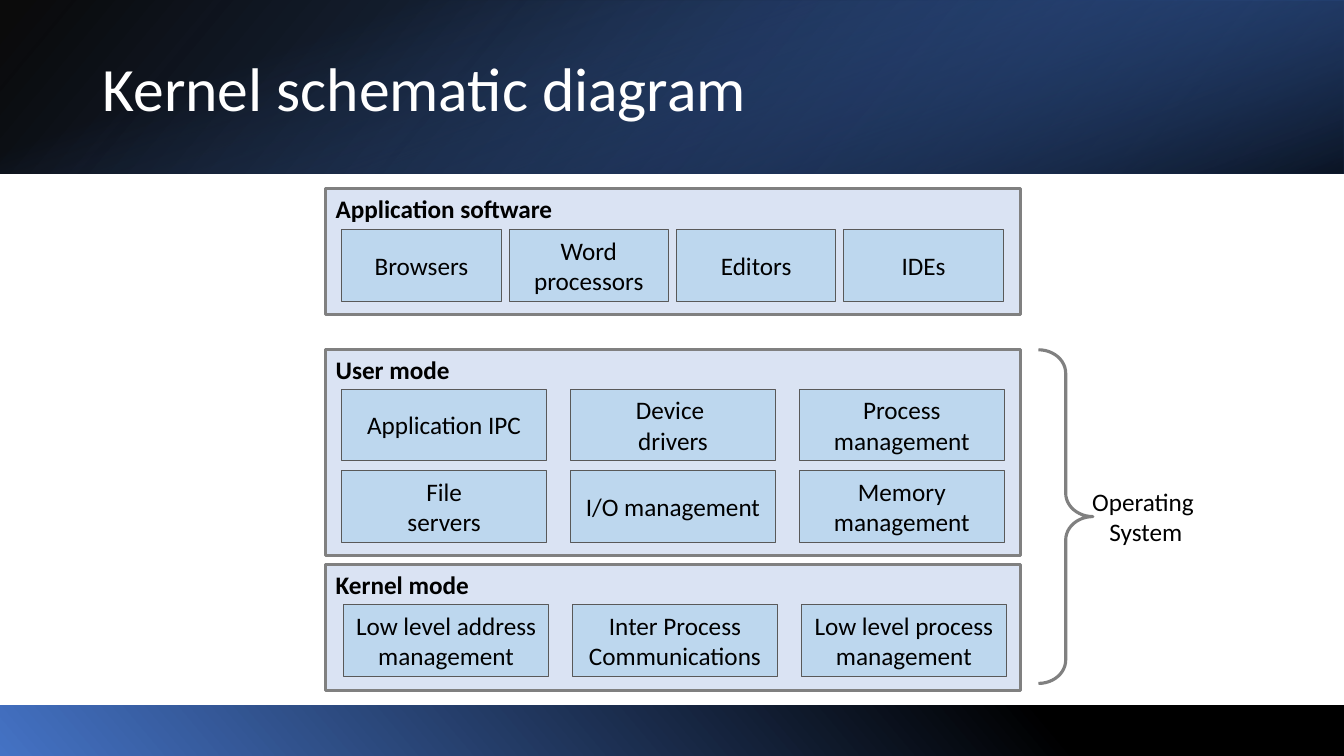
from dataclasses import dataclass

from lxml import etree
from pptx import Presentation
from pptx.dml.color import RGBColor
from pptx.enum.shapes import MSO_SHAPE
from pptx.enum.text import MSO_ANCHOR, PP_ALIGN
from pptx.oxml.ns import qn
from pptx.util import Inches, Pt

RECTANGLE = MSO_SHAPE.RECTANGLE
RIGHT_BRACE = MSO_SHAPE.RIGHT_BRACE
TOP, MIDDLE = MSO_ANCHOR.TOP, MSO_ANCHOR.MIDDLE
LEFT, CENTER = PP_ALIGN.LEFT, PP_ALIGN.CENTER

FONT = "Calibri"
PANEL_FILL, PANEL_LINE = "DAE3F3", "808080"
TILE_FILL, TILE_LINE = "BDD7EE", "595959"
PANEL_LEFT, PANEL_WIDTH = 3.23, 6.89
TILE_HEIGHT, ROW_PITCH = 0.71, 0.81


@dataclass
class Panel:
    title: str
    top: float
    height: float
    tiles_left: float
    tiles_top: float
    tile_width: float
    column_pitch: float
    rows: list[list[str]]


@dataclass
class Stop:
    position: int
    color: str
    opacity: int = 100


@dataclass
class Band:
    """A gradient bar; place is left, top, width, height before rotation."""
    place: tuple[float, float, float, float]
    angle: int
    stops: list[Stop]
    rotation: int = 0
    flipped: bool = False


PANELS = [
    Panel("User mode", 3.47, 2.04, 3.39, 3.86, 2.03, 2.27, [
        ["Application IPC", "Device \ndrivers", "Process management"],
        ["File\nservers", "I/O management", "Memory management"],
    ]),
    Panel("Kernel mode", 5.6, 1.25, 3.41, 6, 2.03, 2.27, [
        ["Low level address management", "Inter Process Communications",
         "Low level process management"],
    ]),
    Panel("Application software", 1.87, 1.25, 3.39, 2.28, 1.58, 1.66, [
        ["Browsers", "Word processors", "Editors", "IDEs"],
    ]),
]

BANDS = [
    Band((0, 7, 13.33, 0.5), 40, [Stop(0, "4472C4"), Stop(78, "000000")],
         rotation=180, flipped=True),
    Band((0, 0, 13.33, 1.72), 140, [Stop(0, "000000", 96), Stop(100, "2F5597")],
         flipped=True),
    Band((5.8, -5.8, 1.72, 13.33), 340,
         [Stop(23, "4472C4", 0), Stop(99, "000000", 74)], rotation=90),
]


def rgb(color: str) -> RGBColor:
    return RGBColor.from_string(color)


def add_outlined(page, kind, place: tuple, line: str, weight: float):
    shape = page.shapes.add_shape(kind, *map(Inches, place))
    shape.shadow.inherit = False
    shape.line.color.rgb = rgb(line)
    shape.line.width = Pt(weight)
    return shape


def write(box, text: str, size: int = 18, color: str = "000000", bold: bool = False,
          align=CENTER, anchor=MIDDLE) -> None:
    frame = box.text_frame
    frame.word_wrap = True
    frame.vertical_anchor = anchor
    frame.text = text
    for para in frame.paragraphs:
        para.alignment = align
        para.font.name = FONT
        para.font.size = Pt(size)
        para.font.bold = bold
        para.font.color.rgb = rgb(color)


def add_panel(page, panel: Panel) -> None:
    place = (PANEL_LEFT, panel.top, PANEL_WIDTH, panel.height)
    frame = add_outlined(page, RECTANGLE, place, PANEL_LINE, 2.25)
    frame.fill.solid()
    frame.fill.fore_color.rgb = rgb(PANEL_FILL)
    write(frame, panel.title, bold=True, align=LEFT, anchor=TOP)
    for row, labels in enumerate(panel.rows):
        for column, label in enumerate(labels):
            place = (panel.tiles_left + column * panel.column_pitch,
                     panel.tiles_top + row * ROW_PITCH,
                     panel.tile_width, TILE_HEIGHT)
            tile = add_outlined(page, RECTANGLE, place, TILE_LINE, 0.75)
            tile.fill.solid()
            tile.fill.fore_color.rgb = rgb(TILE_FILL)
            write(tile, label)


def add_band(page, band: Band) -> None:
    shape = page.shapes.add_shape(RECTANGLE, *map(Inches, band.place))
    shape.shadow.inherit = False
    shape.line.fill.background()
    shape.rotation = band.rotation
    properties = shape.element.spPr
    if band.flipped:
        properties.find(qn("a:xfrm")).set("flipH", "1")

    shape.fill.background()
    gradient = etree.Element(qn("a:gradFill"), rotWithShape="1")
    stop_list = etree.SubElement(gradient, qn("a:gsLst"))
    for stop in band.stops:
        mark = etree.SubElement(stop_list, qn("a:gs"), pos=str(stop.position * 1000))
        color = etree.SubElement(mark, qn("a:srgbClr"), val=stop.color)
        if stop.opacity < 100:
            etree.SubElement(color, qn("a:alpha"), val=str(stop.opacity * 1000))
    etree.SubElement(gradient, qn("a:lin"), ang=str(band.angle * 60000), scaled="0")
    properties.replace(properties.find(qn("a:noFill")), gradient)


def add_system_brace(page) -> None:
    brace = add_outlined(page, RIGHT_BRACE, (10.3, 3.47, 0.54, 3.31), PANEL_LINE, 2.25)
    brace.fill.background()
    brace.adjustments[0] = 0.43
    brace.adjustments[1] = 0.5
    label = page.shapes.add_textbox(*map(Inches, (10.35, 4.77, 2.03, TILE_HEIGHT)))
    write(label, "Operating \nSystem")


def add_title(page) -> None:
    title = page.shapes.add_textbox(*map(Inches, (0.92, 0.4, 11.5, 1.02)))
    write(title, "Kernel schematic diagram", size=44, color="FFFFFF", align=LEFT)
    title.text_frame.paragraphs[0].line_spacing = 0.9


def main() -> None:
    deck = Presentation()
    deck.slide_width, deck.slide_height = Inches(13.33), Inches(7.5)
    page = deck.slides.add_slide(deck.slide_layouts[6])
    for panel in PANELS:
        add_panel(page, panel)
    add_system_brace(page)
    for band in BANDS:
        add_band(page, band)
    add_title(page)
    deck.save("out.pptx")


if __name__ == "__main__":
    main()
